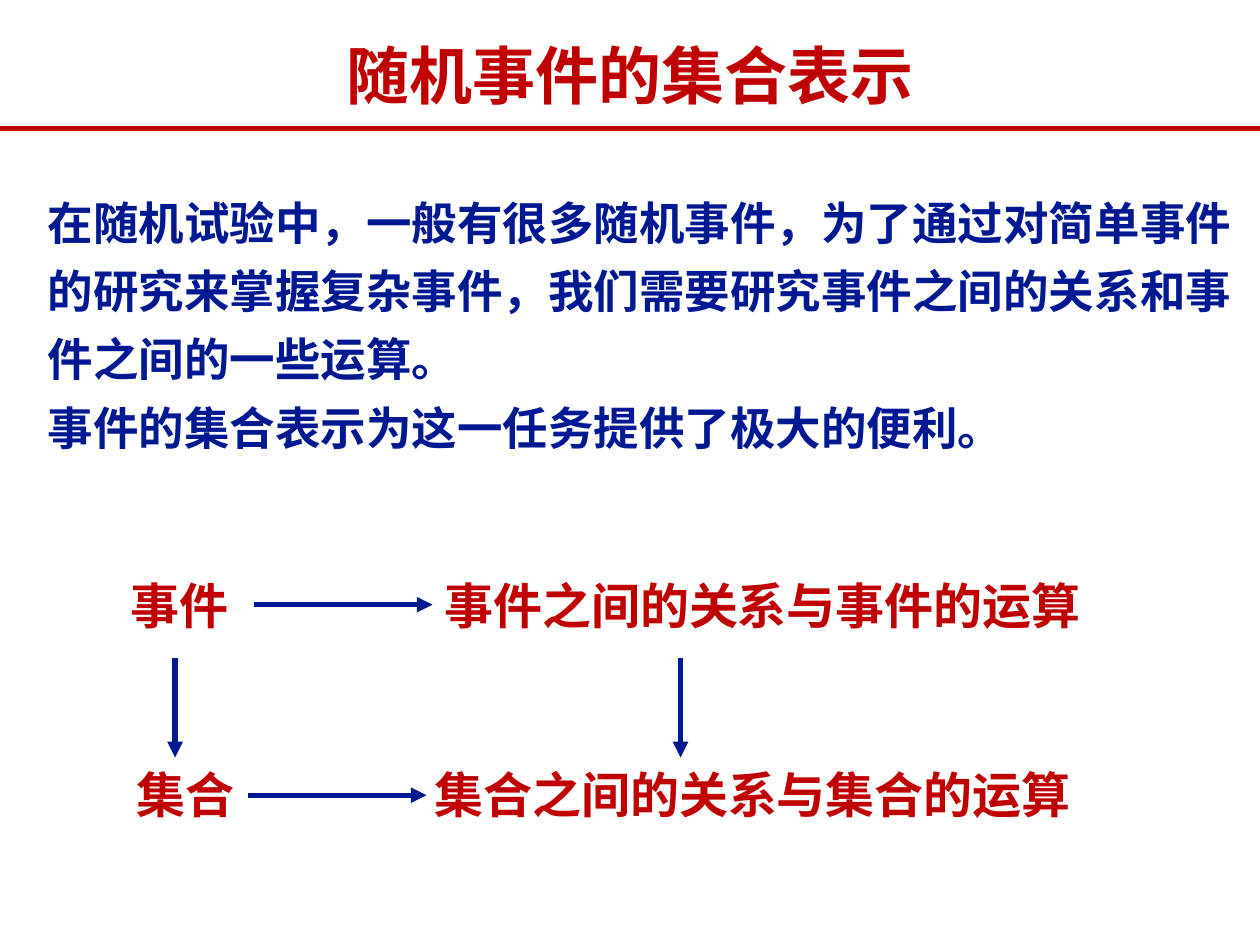
from dataclasses import dataclass

from lxml import etree
from pptx import Presentation
from pptx.dml.color import RGBColor
from pptx.enum.shapes import MSO_CONNECTOR
from pptx.enum.text import MSO_AUTO_SIZE, PP_ALIGN
from pptx.oxml.ns import qn
from pptx.slide import Slide
from pptx.util import Cm, Pt

STRAIGHT = MSO_CONNECTOR.STRAIGHT
FIT_SHAPE = MSO_AUTO_SIZE.SHAPE_TO_FIT_TEXT
LEFT = PP_ALIGN.LEFT
CENTER = PP_ALIGN.CENTER

RED = "C00000"
BLUE = "011893"
LATIN_FONT = "Arial"
CHINESE_FONT = "Noto Sans CJK SC"


@dataclass
class TextBlock:
    left: float
    top: float
    width: float
    height: float
    paragraphs: tuple[str, ...]
    size: int = 28
    color: str = RED
    font: str = LATIN_FONT
    align: PP_ALIGN = LEFT
    spacing: float = 1.0
    wrap: bool = False


@dataclass
class Line:
    x1: float
    y1: float
    x2: float
    y2: float
    color: str = BLUE
    arrow: bool = True


def rgb(value: str) -> RGBColor:
    return RGBColor.from_string(value)


def add_text(s: Slide, block: TextBlock) -> None:
    sp = s.shapes.add_textbox(
        Cm(block.left), Cm(block.top), Cm(block.width), Cm(block.height)
    )
    tf = sp.text_frame
    tf.word_wrap = block.wrap
    tf.auto_size = FIT_SHAPE
    for i, text in enumerate(block.paragraphs):
        p = tf.add_paragraph() if i else tf.paragraphs[0]
        p.alignment = block.align
        p.line_spacing = block.spacing
        r = p.add_run()
        r.text = text
        r.font.size = Pt(block.size)
        r.font.bold = True
        r.font.color.rgb = rgb(block.color)
        r.font.name = block.font
        ea = etree.SubElement(r.font._element, qn("a:ea"))
        ea.set("typeface", CHINESE_FONT)


def add_line(s: Slide, line: Line) -> None:
    sp = s.shapes.add_connector(
        STRAIGHT, Cm(line.x1), Cm(line.y1), Cm(line.x2), Cm(line.y2)
    )
    sp.line.color.rgb = rgb(line.color)
    sp.line.width = Pt(3)
    if line.arrow:
        tail = etree.SubElement(sp.line._get_or_add_ln(), qn("a:tailEnd"))
        tail.set("type", "triangle")
    etree.SubElement(sp._element.spPr, qn("a:effectLst"))


TITLE = TextBlock(6.65, 0.61, 12.1, 1.8, ("随机事件的集合表示",), size=36, align=CENTER)
BODY = TextBlock(
    0.71, 3.53, 24.69, 5.61,
    (
        "在随机试验中，一般有很多随机事件，为了通过对简单事件的研究来掌握复杂事件，"
        "我们需要研究事件之间的关系和事件之间的一些运算。",
        "事件的集合表示为这一任务提供了极大的便利。",
    ),
    size=26, color=BLUE, font=CHINESE_FONT, spacing=1.25, wrap=True,
)
EVENT_TOP, SET_TOP = 11.48, 15.29
TERM_WIDTH, RELATION_WIDTH, LABEL_HEIGHT = 2.49, 13.41, 1.45
LABELS = [
    TextBlock(2.39, EVENT_TOP, TERM_WIDTH, LABEL_HEIGHT, ("事件",)),
    TextBlock(8.71, EVENT_TOP, RELATION_WIDTH, LABEL_HEIGHT, ("事件之间的关系与事件的运算",)),
    TextBlock(2.51, SET_TOP, TERM_WIDTH, LABEL_HEIGHT, ("集合",)),
    TextBlock(8.51, SET_TOP, RELATION_WIDTH, LABEL_HEIGHT, ("集合之间的关系与集合的运算",)),
]
DOWN_ARROWS = [Line(x, 13.26, x, 15.27) for x in (3.53, 13.72)]
RIGHT_ARROWS = [Line(x, y, x + 3.6, y) for x, y in ((5.12, 12.19), (5.0, 16.03))]
TITLE_RULE = Line(0, 2.59, 25.4, 2.59, color=RED, arrow=False)


def main() -> None:
    prs = Presentation()
    prs.slide_width = Cm(25.4)
    prs.slide_height = Cm(19.05)
    s = prs.slides.add_slide(prs.slide_layouts[6])
    for block in [TITLE, BODY, *LABELS]:
        add_text(s, block)
    for line in [TITLE_RULE, *DOWN_ARROWS, *RIGHT_ARROWS]:
        add_line(s, line)
    prs.save("out.pptx")


if __name__ == "__main__":
    main()
